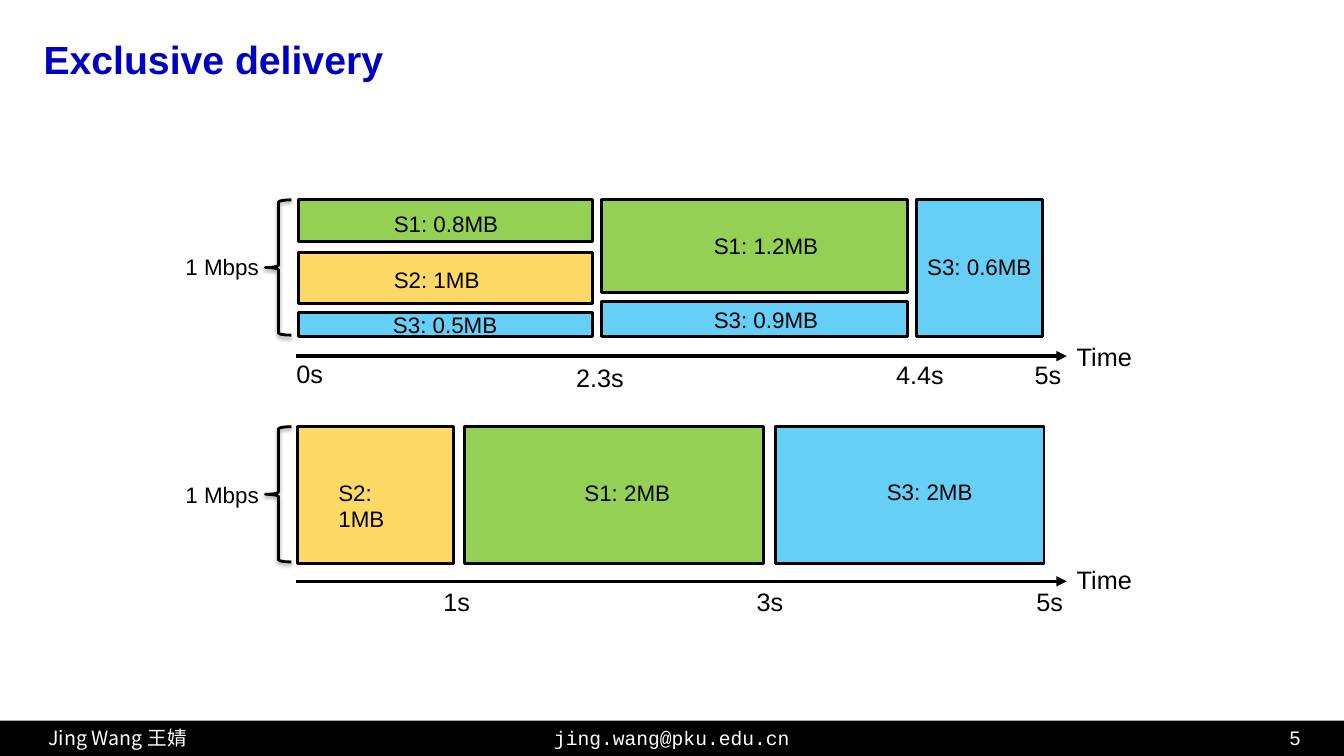
import pptx
import pptx.util
import pptx.dml.color
import pptx.enum.shapes
import pptx.enum.text
import pptx.oxml
from pptx.oxml.ns import nsdecls

RGB = pptx.dml.color.RGBColor
KIND = pptx.enum.shapes.MSO_SHAPE
ALIGN = pptx.enum.text.PP_ALIGN
ANCHOR = pptx.enum.text.MSO_ANCHOR
Pt = pptx.util.Pt
BLACK = RGB(0, 0, 0)
WHITE = RGB(255, 255, 255)
NAVY = RGB(0, 0, 0xC0)
GREEN = RGB(0x92, 0xD0, 0x50), 98
GOLD = RGB(0xFF, 0xC0, 0), 60
BLUE = RGB(0, 0xB0, 0xF0), 60

deck = pptx.Presentation()
deck.slide_width = pptx.util.Inches(13.33)
deck.slide_height = pptx.util.Inches(7.5)
slide = deck.slides.add_slide(deck.slide_layouts[6])
shapes = slide.shapes
COLS, ROWS = 80, 45


def grid(x, y, w, h):
    across, down = deck.slide_width / COLS, deck.slide_height / ROWS
    return [round(n) for n in (x * across, y * down, w * across, h * down)]


def write(text, x, y, w, h=2.2, size=16, color=BLACK, face="Arial", align=ALIGN.LEFT):
    frame = shapes.add_textbox(*grid(x, y, w, h)).text_frame
    frame.word_wrap = True
    para = frame.paragraphs[0]
    para.text = text
    para.alignment = align
    para.font.size = Pt(size)
    para.font.name = face
    para.font.color.rgb = color
    return frame


bar = shapes.add_shape(KIND.RECTANGLE, *grid(0, 42.9, COLS, 2.1))
bar.shadow.inherit = False
bar.fill.solid()
bar.fill.fore_color.rgb = BLACK
bar.line.fill.background()
for text, x, w, face, align in [
    ("Jing Wang 王婧", 2.3, 15.4, "Noto Sans CJK SC", ALIGN.LEFT),
    ("jing.wang@pku.edu.cn", 0, COLS, "Courier New", ALIGN.CENTER),
    ("5", 74.2, 3.8, "Arial", ALIGN.RIGHT),
]:
    write(text, x, 42.9, w, 2.1, 14, WHITE, face, align)

title = write("Exclusive delivery", 2, 1.45, 76, 4.45, 28, NAVY)
title.vertical_anchor = ANCHOR.MIDDLE
title.paragraphs[0].line_spacing = 0.9
title.paragraphs[0].font.bold = True

shared = [
    (GREEN, 17.75, 11.9, 17.5, 2.5, "S1: 0.8MB", 22.85, 12.2, 9.6),
    (GOLD, 17.75, 15.05, 17.5, 3, "S2: 1MB", 22.85, 15.55, 9.6),
    (BLUE, 17.75, 18.6, 17.5, 1.45, "S3: 0.5MB", 22.8, 18.2, 9.6),
    (GREEN, 35.8, 11.9, 18.2, 5.5, "S1: 1.2MB", 41.9, 13.5, 9.6),
    (BLUE, 35.8, 17.95, 18.2, 2.1, "S3: 0.9MB", 41.9, 17.9, 10),
    (BLUE, 54.55, 11.9, 7.5, 8.15, "S3: 0.6MB", 54.6, 14.8, 8.35),
]
single = [
    (GOLD, 17.7, 25.4, 9.3, 8.15, "S2: 1MB", 19.55, 28.2, 6),
    (GREEN, 27.65, 25.4, 17.8, 8.15, "S1: 2MB", 34.2, 28.2, 6.3),
    (BLUE, 46.15, 25.4, 16, 8.15, "S3: 2MB", 52.2, 28.15, 7.5),
]
early = [("0s", 17.05, 21.05), ("2.3s", 33.7, 21.25), ("4.4s", 52.75, 21.1), ("5s", 61, 21.1)]
late = [("1s", 25.8, 34.6), ("3s", 44.45, 34.6), ("5s", 61.1, 34.6)]

for top, axis, rate, time, blocks, ticks in [
    (11.9, 21.2, 14.8, 20, shared, early),
    (25.4, 34.6, 28.35, 33.3, single, late),
]:
    for (color, alpha), x, y, w, h, text, left, high, wide in blocks:
        block = shapes.add_shape(KIND.RECTANGLE, *grid(x, y, w, h))
        block.shadow.inherit = False
        block.fill.solid()
        block.fill.fore_color.rgb = color
        tint = block.fill._xPr.find(".//" + pptx.oxml.ns.qn("a:srgbClr"))
        tint.append(pptx.oxml.parse_xml(f'<a:alpha {nsdecls("a")} val="{alpha * 1000}"/>'))
        block.line.color.rgb = BLACK
        block.line.width = Pt(2)
        write(text, left, high, wide)

    brace = shapes.add_shape(KIND.LEFT_BRACE, *grid(15.8, top, 1.55, 8.05))
    brace.fill.background()
    brace.line.color.rgb = BLACK
    brace.line.width = Pt(2)
    brace._element.spPr.append(pptx.oxml.parse_xml(
        f'<a:effectLst {nsdecls("a")}><a:outerShdw blurRad="39370" dist="20320" dir="5400000"'
        ' rotWithShape="0"><a:srgbClr val="000000"><a:alpha val="38000"/></a:srgbClr>'
        '</a:outerShdw></a:effectLst>'))
    write("1 Mbps", 10.45, rate, 7.15)

    x, y, far, _ = grid(17.65, axis, 63.5, 0)
    arrow = shapes.add_connector(pptx.enum.shapes.MSO_CONNECTOR.STRAIGHT, x, y, far, y)
    arrow.line.color.rgb = BLACK
    arrow.line.width = Pt(2.5)
    arrow.line._get_or_add_ln().append(
        pptx.oxml.parse_xml(f'<a:tailEnd {nsdecls("a")} type="triangle"/>'))
    arrow._element.spPr.append(pptx.oxml.parse_xml(f'<a:effectLst {nsdecls("a")}/>'))
    write("Time", 63.5, time, 4.6, 2.4, 18)
    for text, x, y in ticks:
        write(text, x, y, 4.8, 2.4, 18)

deck.save("out.pptx")
